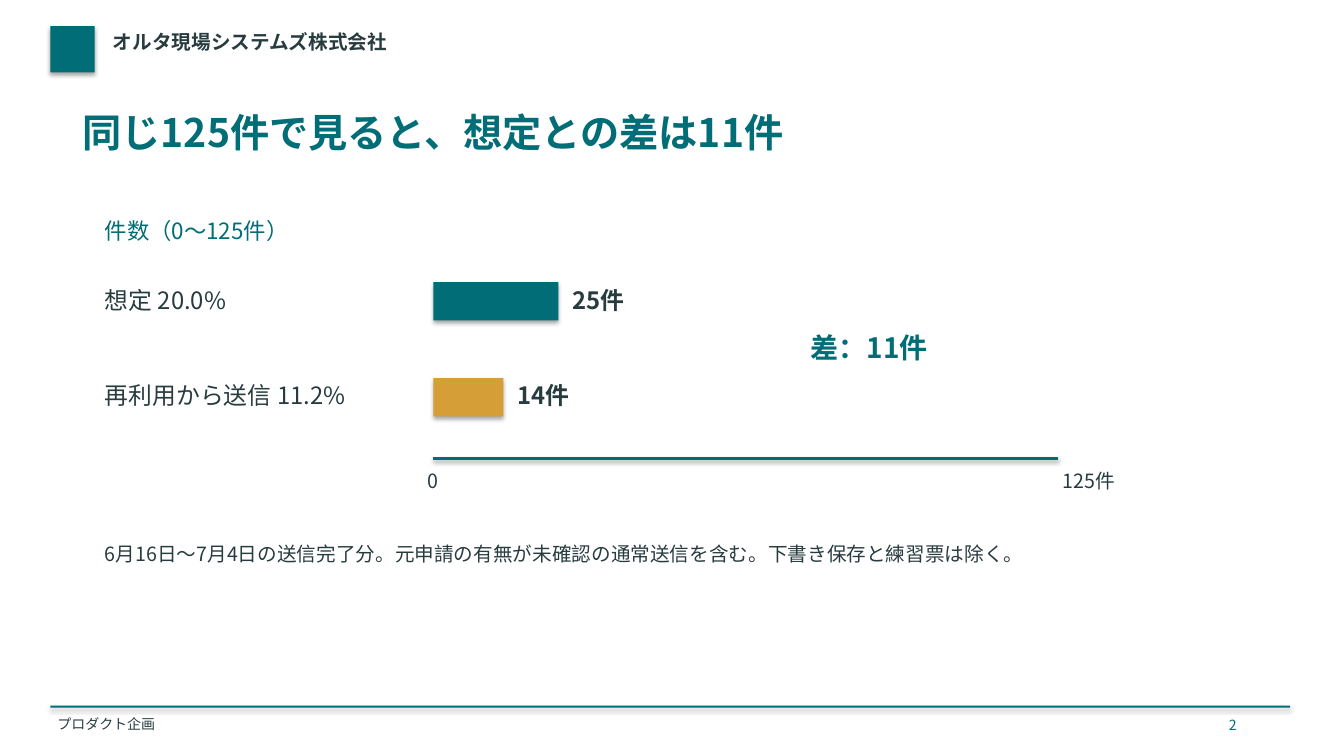
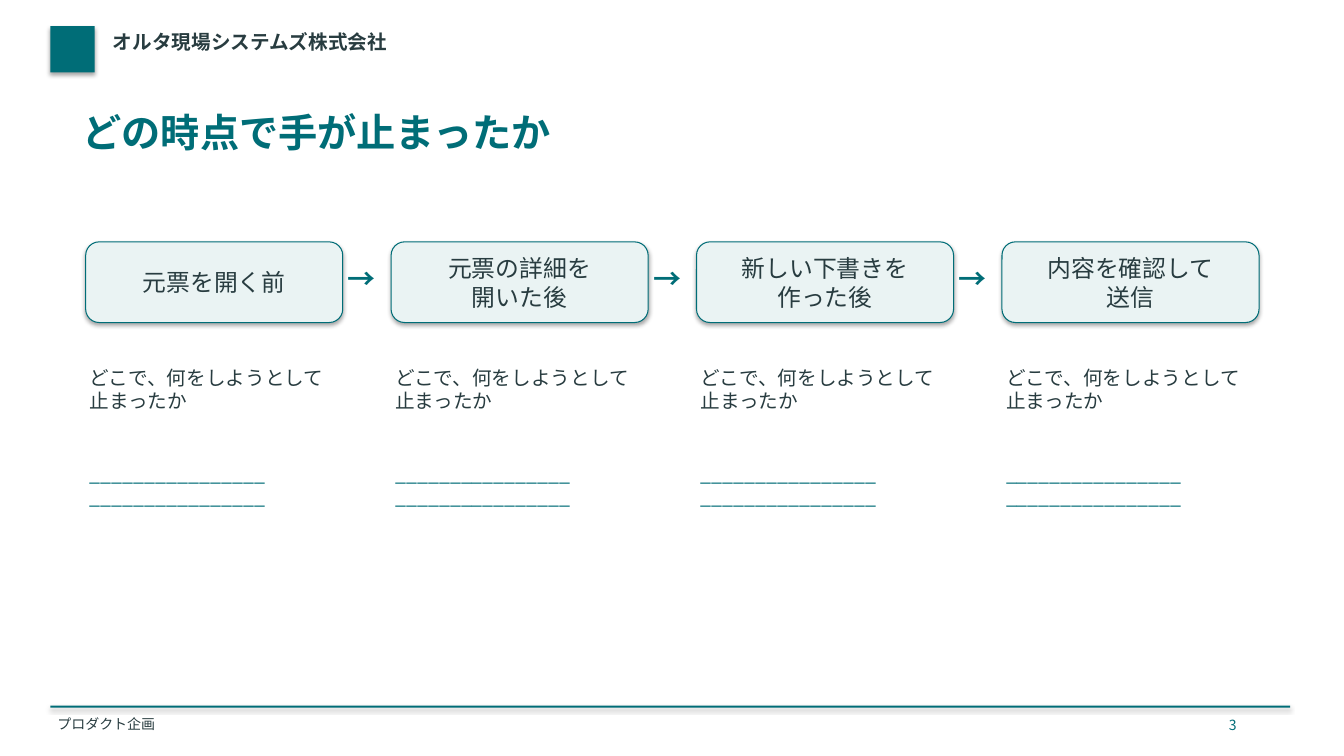
import copy
from dataclasses import dataclass

import pptx
import pptx.dml.color
import pptx.enum.shapes
import pptx.enum.text
import pptx.oxml.ns
import pptx.util
from lxml import etree

Pt = pptx.util.Pt
Shapes = pptx.enum.shapes.MSO_SHAPE
Align = pptx.enum.text.PP_ALIGN
Anchor = pptx.enum.text.MSO_ANCHOR
qn = pptx.oxml.ns.qn

CELL = pptx.util.Inches(0.1)
COLUMNS, ROWS = 133.33, 75


@dataclass(frozen=True)
class Theme:
    font = "Noto Sans CJK JP"
    teal = "006D77"
    gold = "D69E36"
    ink = "283C40"
    mist = "EAF3F3"
    white = "FFFFFF"
    title = {"size": Pt(28), "bold": True}
    accent = {"size": Pt(20), "bold": True}
    label = {"size": Pt(17), "bold": False}
    value = {"size": Pt(17), "bold": True}
    caption = {"size": Pt(16), "bold": False}
    brand = {"size": Pt(14), "bold": True}
    body = {"size": Pt(14), "bold": False}
    small = {"size": Pt(10), "bold": False}
    frame_insets = (0.2, 0.2)
    body_insets = (0.4, 0.3)


THEME = Theme()


@dataclass(frozen=True)
class Box:
    left: float
    top: float
    width: float
    height: float

    def area(self, column, row, width, height):
        return Box(self.left + column, self.top + row, width, height)

    def lengths(self):
        return [round(cells * CELL) for cells in (self.left, self.top, self.width, self.height)]


PAGE = Box(0, 0, COLUMNS, ROWS)


def rgb(colour):
    return pptx.dml.color.RGBColor.from_string(colour)


def write(frame, text, style, colour, align=Align.LEFT):
    paragraph = frame.paragraphs[0]
    paragraph.text = text
    paragraph.alignment = align
    for run in paragraph.runs:
        for name, value in {**style, "name": THEME.font}.items():
            setattr(run.font, name, value)
        run.font.color.rgb = rgb(colour)
        properties = run._r.get_or_add_rPr()
        etree.SubElement(properties, qn("a:ea"), typeface=THEME.font)
    for line_break in paragraph._p.findall(qn("a:br")):
        line_break.insert(0, copy.deepcopy(properties))


def add_text(slide, box, text, style, colour=THEME.ink, align=Align.LEFT, insets=THEME.body_insets):
    frame = slide.shapes.add_textbox(*box.lengths()).text_frame
    across, down = (round(inset * CELL) for inset in insets)
    settings = {
        "word_wrap": True,
        "auto_size": pptx.enum.text.MSO_AUTO_SIZE.SHAPE_TO_FIT_TEXT,
        "margin_left": across,
        "margin_right": across,
        "margin_top": down,
        "margin_bottom": down,
    }
    for name, value in settings.items():
        setattr(frame, name, value)
    write(frame, text, style, colour, align)


def add_block(slide, box, fill, kind=Shapes.RECTANGLE, outline=None):
    shape = slide.shapes.add_shape(kind, *box.lengths())
    shape.fill.solid()
    shape.fill.fore_color.rgb = rgb(fill)
    if outline:
        shape.line.color.rgb = rgb(outline)
        shape.line.width = Pt(0.75)
    else:
        shape.line.fill.background()
    return shape


def header(slide, box, title):
    add_block(slide, box.area(0, 0, 4.4, 4.6), THEME.teal)
    add_text(slide, box.area(6, 0.2, 100, 4), "オルタ現場システムズ株式会社",
             THEME.brand, insets=THEME.frame_insets)
    add_text(slide, box.area(3, 7.9, 117, 7.5), title,
             THEME.title, THEME.teal, insets=THEME.frame_insets)


def footer(slide, box, number):
    add_block(slide, box.area(0, 0, box.width, 0.2), THEME.teal)
    add_text(slide, box.area(0.5, 0.8, 90, 2.2), "プロダクト企画",
             THEME.small, insets=THEME.frame_insets)
    add_text(slide, box.area(116.5, 0.8, 5, 2.2), str(number), THEME.small, THEME.teal)


def add_page(presentation, number, title):
    slide = presentation.slides.add_slide(presentation.slide_layouts[6])
    slide.background.fill.solid()
    slide.background.fill.fore_color.rgb = rgb(THEME.white)
    header(slide, PAGE.area(5, 2.6, 123, 15.4), title)
    footer(slide, PAGE.area(5, 70, 123, 3), number)
    return slide


def count_bars(slide, box, maximum, bars):
    axis_column, axis_width, pitch = 33, 62, 9.5
    add_text(slide, box.area(0, 0, 40, 3.5), f"件数（0〜{maximum}件）", THEME.caption, THEME.teal)
    for index, (label, count, colour) in enumerate(bars):
        row = 6.8 + index * pitch
        length = axis_width * count / maximum
        add_text(slide, box.area(0, row, 32, 4), label, THEME.label)
        add_block(slide, box.area(axis_column, row, length, 3.8), colour)
        add_text(slide, box.area(axis_column + length + 1, row, 8, 4), f"{count}件", THEME.value)

    left, top, width, _ = box.area(axis_column, 24.3, axis_width, 0).lengths()
    axis = slide.shapes.add_connector(
        pptx.enum.shapes.MSO_CONNECTOR.STRAIGHT, left, top, left + width, top)
    axis.line.color.rgb = rgb(THEME.teal)
    axis.line.width = Pt(2)
    add_text(slide, box.area(axis_column - 2, 25, 4, 3.5), "0", THEME.body, align=Align.CENTER)
    add_text(slide, box.area(axis_column + axis_width, 25, 8, 3.5), f"{maximum}件", THEME.body)

    difference = bars[0][1] - bars[1][1]
    add_text(slide, box.area(70, 11.3, 30, 5), f"差：{difference}件", THEME.accent, THEME.teal)


def step_flow(slide, box, steps, question, answer):
    width, pitch = 25.5, 30.3
    for index, step in enumerate(steps):
        column = box.area(index * pitch, 0, width, box.height)
        card = add_block(slide, column.area(0, 0, width, 8), THEME.mist,
                         Shapes.ROUNDED_RECTANGLE, THEME.teal)
        card.text_frame.word_wrap = True
        card.text_frame.vertical_anchor = Anchor.MIDDLE
        write(card.text_frame, step, THEME.label, THEME.ink, Align.CENTER)
        if index < len(steps) - 1:
            add_text(slide, column.area(width + 0.1, 1.6, 4.5, 4), "→", THEME.accent, THEME.teal)
        add_text(slide, column.area(0, 12, width, 8), question, THEME.body)
        add_text(slide, column.area(0, 21.5, width, 7), answer, THEME.body, THEME.teal)


def comparison_slide(presentation):
    slide = add_page(presentation, 2, "同じ125件で見ると、想定との差は11件")
    count_bars(slide, PAGE.area(10, 21.2, 112, 29), 125, [
        ("想定 20.0%", 25, THEME.teal),
        ("再利用から送信 11.2%", 14, THEME.gold),
    ])
    add_text(slide, PAGE.area(10, 53.5, 112, 8),
             "6月16日〜7月4日の送信完了分。元申請の有無が未確認の通常送信を含む。下書き保存と練習票は除く。",
             THEME.body)


def stopping_point_slide(presentation):
    slide = add_page(presentation, 3, "どの時点で手が止まったか")
    steps = ["元票を開く前", "元票の詳細を\n開いた後", "新しい下書きを\n作った後", "内容を確認して\n送信"]
    answer = "\n".join(["_" * 16] * 2)
    step_flow(slide, PAGE.area(8.5, 24, 116.4, 28.5), steps,
              "どこで、何をしようとして止まったか", answer)


def main():
    presentation = pptx.Presentation()
    presentation.slide_width = round(COLUMNS * CELL)
    presentation.slide_height = ROWS * CELL
    comparison_slide(presentation)
    stopping_point_slide(presentation)
    presentation.save("out.pptx")


if __name__ == "__main__":
    main()
